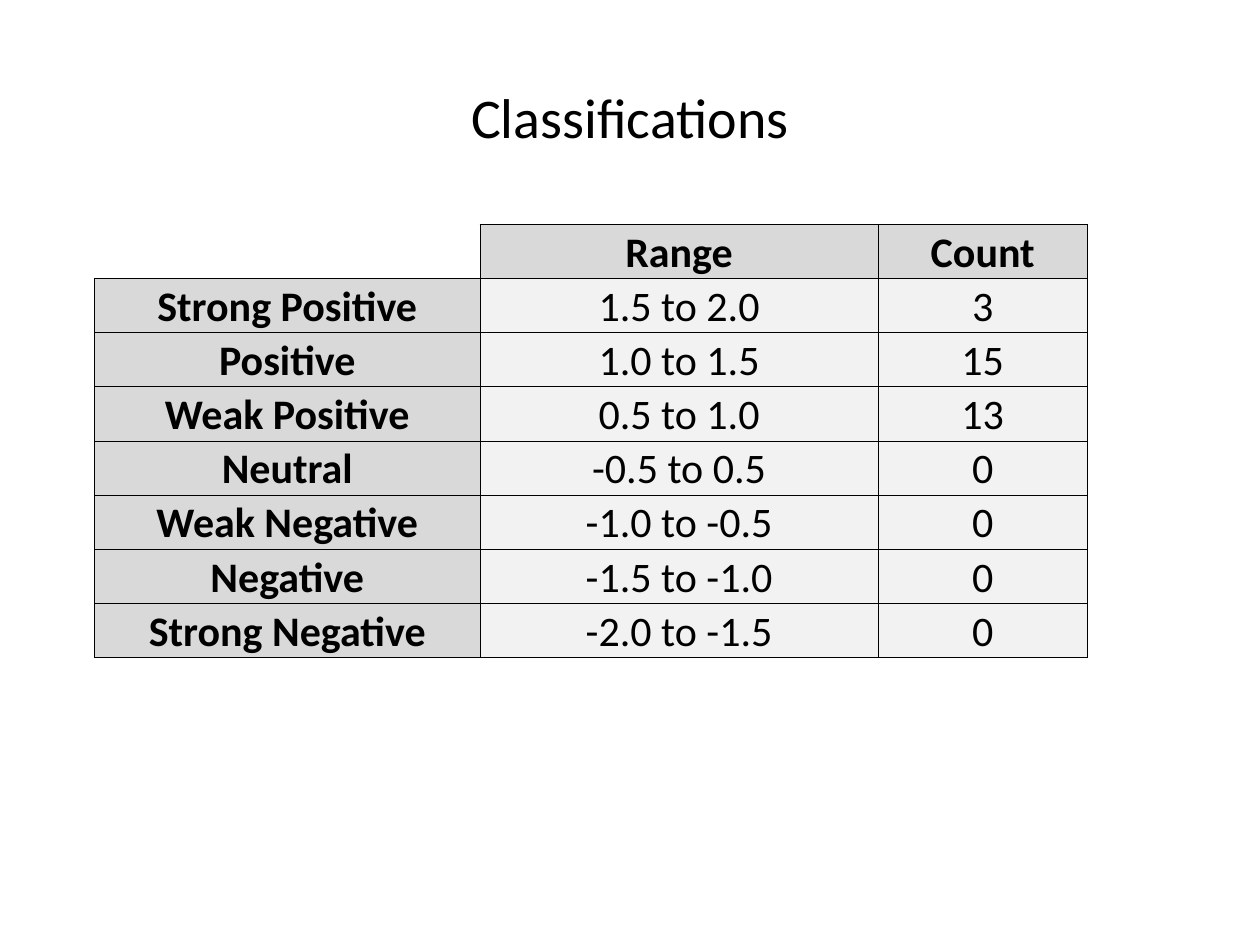
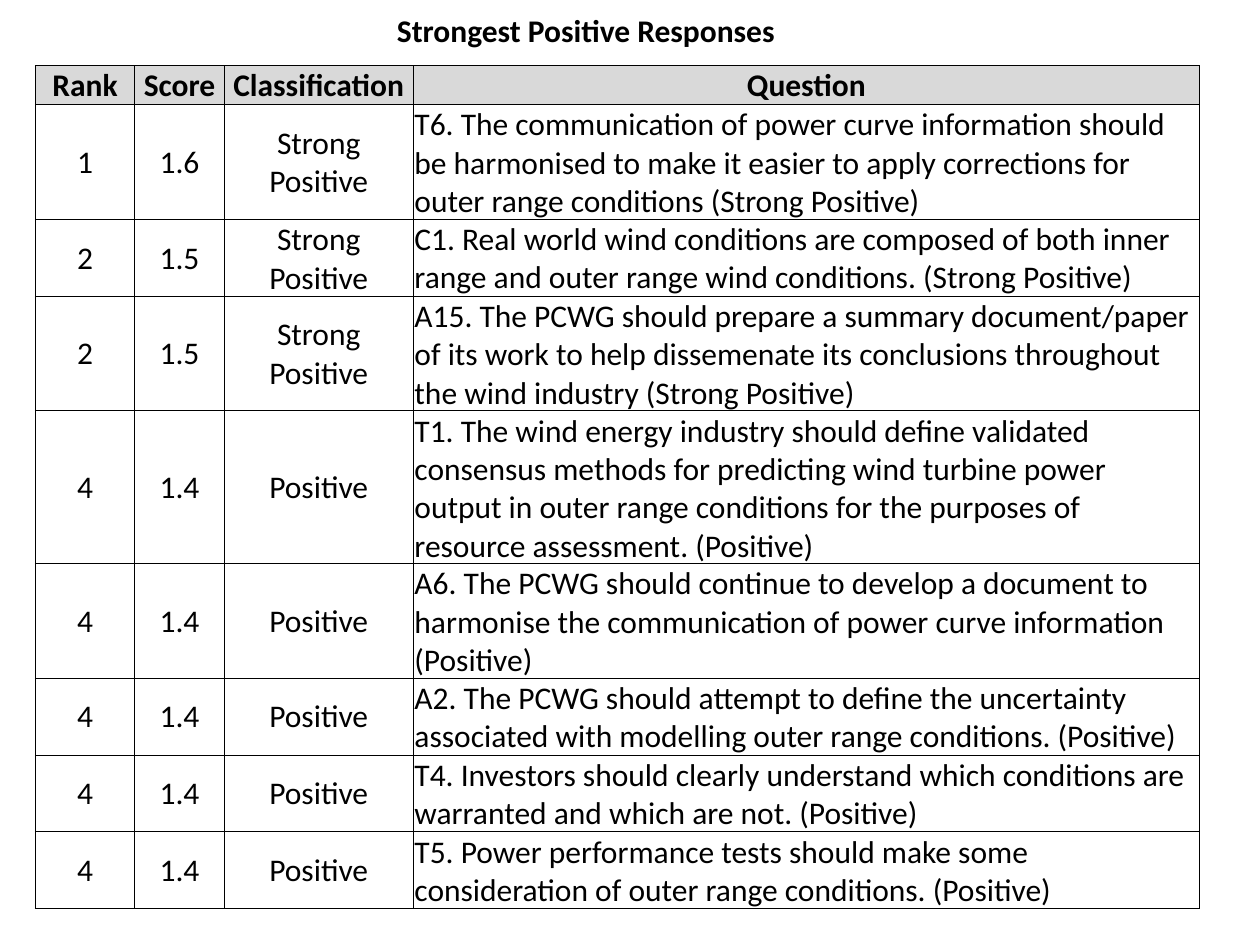
import pptx
import pptx.dml.color
import pptx.enum.text
import pptx.oxml
import pptx.oxml.ns
import pptx.util

Inches = pptx.util.Inches
ALIGN = pptx.enum.text.PP_ALIGN
ANCHOR = pptx.enum.text.MSO_ANCHOR

BLACK, HEAD, BODY = "000000", "D9D9D9", "F2F2F2"

CLASSES = [
    ["", "Range", "Count"],
    ["Strong Positive", "1.5 to 2.0", "3"],
    ["Positive", "1.0 to 1.5", "15"],
    ["Weak Positive", "0.5 to 1.0", "13"],
    ["Neutral", "-0.5 to 0.5", "0"],
    ["Weak Negative", "-1.0 to -0.5", "0"],
    ["Negative", "-1.5 to -1.0", "0"],
    ["Strong Negative", "-2.0 to -1.5", "0"],
]

ANSWERS = [
    ["Rank", "Score", "Classification", "Question"],
    ["1", "1.6", "Strong Positive",
     "T6. The communication of power curve information should be harmonised to make it "
     "easier to apply corrections for outer range conditions (Strong Positive)"],
    ["2", "1.5", "Strong Positive",
     "C1. Real world wind conditions are composed of both inner range and outer range "
     "wind conditions. (Strong Positive)"],
    ["2", "1.5", "Strong Positive",
     "A15. The PCWG should prepare a summary document/paper of its work to help "
     "dissemenate its conclusions throughout the wind industry (Strong Positive)"],
    ["4", "1.4", "Positive",
     "T1. The wind energy industry should define validated consensus methods for "
     "predicting wind turbine power output in outer range conditions for the purposes "
     "of resource assessment. (Positive)"],
    ["4", "1.4", "Positive",
     "A6. The PCWG should continue to develop a document to harmonise the "
     "communication of power curve information (Positive)"],
    ["4", "1.4", "Positive",
     "A2. The PCWG should attempt to define the uncertainty associated with modelling "
     "outer range conditions. (Positive)"],
    ["4", "1.4", "Positive",
     "T4. Investors should clearly understand which conditions are warranted and "
     "which are not. (Positive)"],
    ["4", "1.4", "Positive",
     "T5. Power performance tests should make some consideration of outer range "
     "conditions. (Positive)"],
]
LINES = [1, 3, 2, 3, 4, 3, 2, 2, 2]


def color(code):
    return pptx.dml.color.RGBColor.from_string(code)


def write(frame, text, size=18, bold=False, align=ALIGN.CENTER):
    para = frame.paragraphs[0]
    para.alignment = align
    run = para.add_run()
    run.text = text
    font = run.font
    font.name, font.size, font.bold = "Calibri", pptx.util.Pt(size), bold
    font.color.rgb = color(BLACK)


def border(cell, sides):
    """Draw the named sides (of LRTB) in black and hide the others."""
    props = cell._tc.get_or_add_tcPr()
    for place, side in enumerate("LRTB"):
        fill = (f'<a:solidFill><a:srgbClr val="{BLACK}"/></a:solidFill>'
                if side in sides else "<a:noFill/>")
        line = pptx.oxml.parse_xml(
            f'<a:ln{side} {pptx.oxml.ns.nsdecls("a")} w="6350">{fill}</a:ln{side}>')
        props.insert(place, line)


class Deck:
    """Holds the presentation, its shared style and the current slide."""

    def __init__(self):
        self.file = pptx.Presentation()
        self.file.slide_width, self.file.slide_height = Inches(10), Inches(7.5)
        self.slide = None

    def page(self):
        self.slide = self.file.slides.add_slide(self.file.slide_layouts[6])

    def title(self, text, left, top, width, height, wrap=True, **form):
        box = self.slide.shapes.add_textbox(
            Inches(left), Inches(top), Inches(width), Inches(height))
        box.text_frame.word_wrap = wrap
        box.text_frame.vertical_anchor = ANCHOR.MIDDLE
        write(box.text_frame, text, **form)

    def table(self, data, left, top, widths, heights, style):
        """Fill a ruled table; style(row, col) gives fill, anchor and text format."""
        table = self.slide.shapes.add_table(
            len(data), len(widths), Inches(left), Inches(top),
            Inches(sum(widths)), Inches(sum(heights))).table
        table.first_row = table.horz_banding = False
        for col, width in zip(table.columns, widths):
            col.width = Inches(width)
        for row, height in zip(table.rows, heights):
            row.height = Inches(height)
        for r, values in enumerate(data):
            for c, text in enumerate(values):
                self.cell(table.cell(r, c), text, *style(r, c))

    def cell(self, cell, text, fill, anchor, form):
        cell.margin_left = cell.margin_right = cell.margin_top = Inches(0.01)
        cell.margin_bottom = 0
        cell.vertical_anchor = anchor
        if fill:
            cell.fill.solid()
            cell.fill.fore_color.rgb = color(fill)
        else:
            cell.fill.background()
        border(cell, "LRTB" if text else "RB")
        if text:
            write(cell.text_frame, text, **form)


def class_style(row, col):
    head = row == 0 or col == 0
    fill = None if row == col == 0 else HEAD if head else BODY
    return fill, ANCHOR.BOTTOM, {"size": 24, "bold": head}


def answer_style(row, col):
    if row == 0:
        return HEAD, ANCHOR.BOTTOM, {"bold": True}
    if col == 3:
        return None, ANCHOR.BOTTOM, {"align": ALIGN.LEFT}
    return None, ANCHOR.MIDDLE, {}


def main():
    deck = Deck()

    deck.page()
    deck.title("Classifications", 0.5, 0.3, 9, 1.25, size=32)
    deck.table(CLASSES, 0.75, 1.78, [3.06, 3.16, 1.66], [0.43] * len(CLASSES),
               class_style)

    deck.page()
    heights = [0.3 * count + 0.01 for count in LINES]
    deck.table(ANSWERS, 0.28, 0.52, [0.79, 0.71, 1.5, 6.24], heights, answer_style)
    deck.title("Strongest Positive Responses", 3.04, 0.04, 3.22, 0.4,
               wrap=False, bold=True)

    deck.file.save("out.pptx")


if __name__ == "__main__":
    main()
